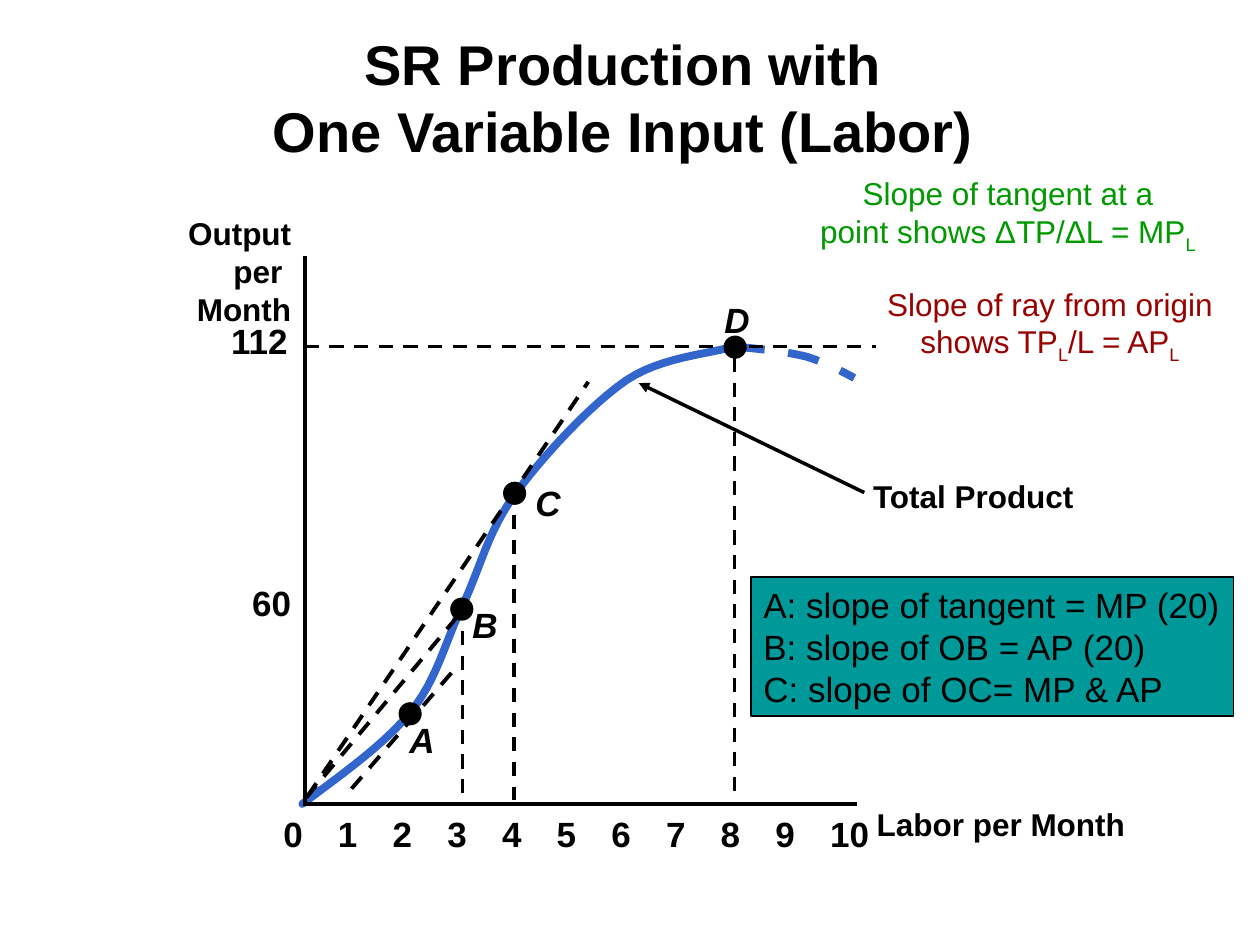
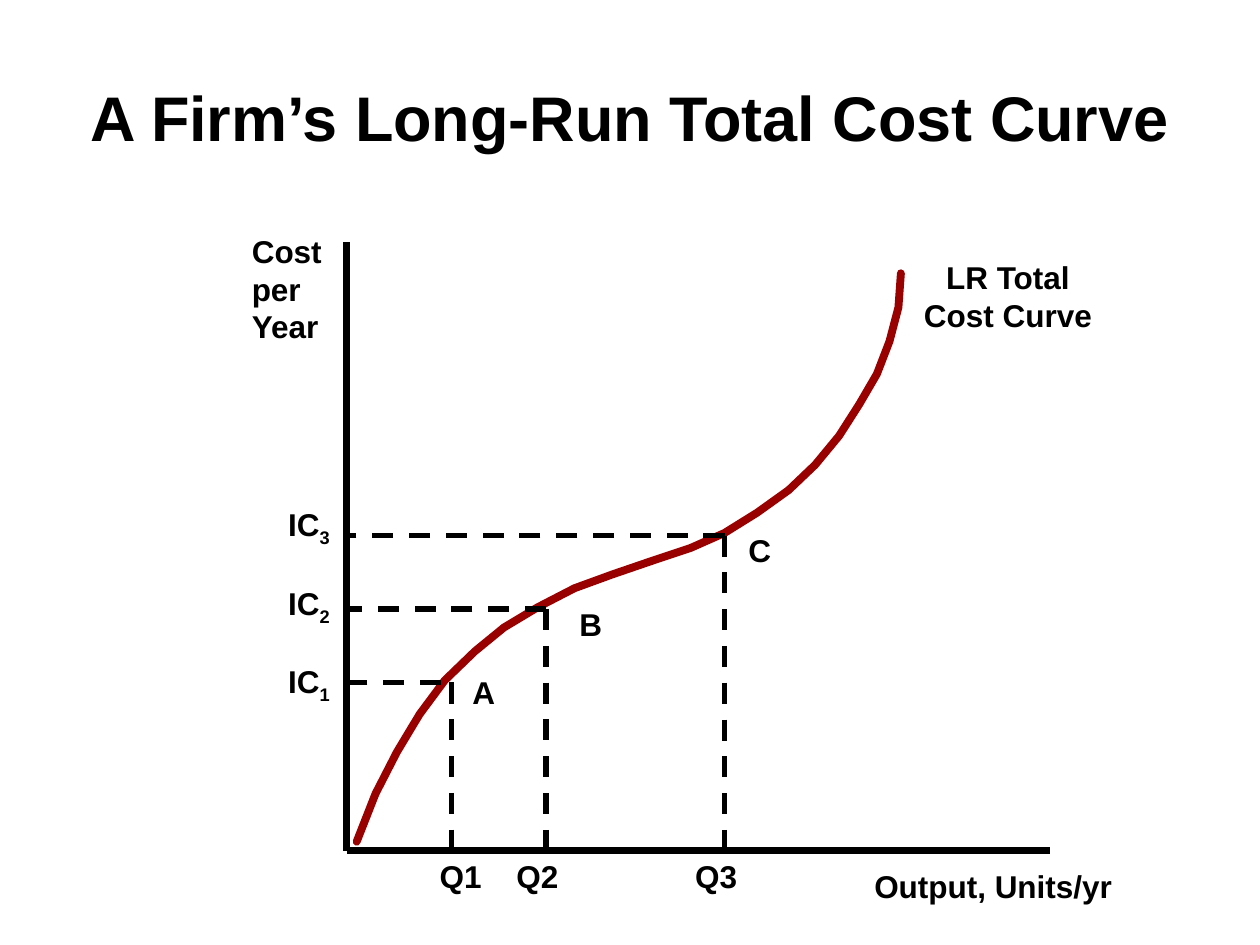
from dataclasses import dataclass

from lxml import etree
from pptx import Presentation
from pptx.dml.color import RGBColor
from pptx.enum import dml, shapes, text
from pptx.oxml.ns import qn
from pptx.util import Pt


@dataclass(frozen=True)
class Theme:
    font: str = "Arial"
    ink: str = "000000"
    blue: str = "3366CC"
    red: str = "990000"
    green: str = "009900"
    teal: str = "009999"
    label: int = 18
    mark: int = 20
    curve: float = 4.5


T = Theme()
LEFT, CENTER, RIGHT = text.PP_ALIGN.LEFT, text.PP_ALIGN.CENTER, text.PP_ALIGN.RIGHT


def write(sp, content, size=T.label, align=LEFT, color=T.ink, bold=True, italic=False):
    tf = sp.text_frame
    tf.text = content
    for p in tf.paragraphs:
        p.alignment = align
        if "_" in p.text:
            pieces = p.text.split("_")
            p.text = pieces[0]
            for i, piece in enumerate(pieces[1:], 1):
                if piece:
                    r = p.add_run()
                    r.text = piece
                    if i % 2:
                        r.font._element.set("baseline", "-25000")
        for r in p.runs:
            r.font.name, r.font.size = T.font, Pt(size)
            r.font.bold, r.font.italic = bold, italic
            r.font.color.rgb = RGBColor.from_string(color)


def line(s, x1, y1, x2, y2, width, dashed=True):
    c = s.shapes.add_connector(shapes.MSO_CONNECTOR.STRAIGHT, Pt(x1), Pt(y1), Pt(x2), Pt(y2))
    c.line.color.rgb = RGBColor.from_string(T.ink)
    c.line.width = Pt(width)
    if dashed:
        c.line.dash_style = dml.MSO_LINE.DASH
    etree.SubElement(c._element.spPr, qn("a:effectLst"))
    return c


prs = Presentation()
prs.slide_width, prs.slide_height = Pt(720), Pt(540)

titles = [
    ("SR Production with\vOne Variable Input (Labor)", 32, (41.8, 18, 628.6, 79.2), text.MSO_ANCHOR.BOTTOM),
    ("A Firm’s Long-Run Total Cost Curve", 36, (36, 21.6, 648, 90), text.MSO_ANCHOR.MIDDLE),
]
for title, size, box, anchor in titles:
    s = prs.slides.add_slide(prs.slide_layouts[5])
    sp = s.shapes.title
    sp.left, sp.top, sp.width, sp.height = map(Pt, box)
    write(sp, title, size, CENTER)
    sp.text_frame.vertical_anchor = anchor
    sp.text_frame.auto_size = text.MSO_AUTO_SIZE.NONE
production, cost = prs.slides

product_knots = [
    (172.8, 459.4), (195.8, 442.1), (219.6, 425.5), (234.7, 406.8),
    (249.8, 388.1), (254.2, 367.2), (264.2, 346.3),
    (274.3, 325.4), (278.6, 303.8), (294.5, 282.2),
    (310.3, 260.6), (337, 231.8), (357.8, 217.4),
    (378, 203.8), (406.1, 202.3), (419, 198),
]
decline_knots = [
    (419, 198), (434.2, 199.4), (449.3, 200.9), (460.8, 203.8),
    (472.3, 207.4), (480.2, 211.7), (488.2, 216),
]
cost_points = [
    (203.8, 481), (214.6, 453.6), (226.8, 429.8), (239.8, 408.2), (254.2, 388.8),
    (271.4, 372.2), (288, 358.6), (307.4, 347), (328.3, 336.2), (349.9, 328.3),
    (373, 320.4), (394.6, 313.2), (414, 304.6), (432.7, 293), (450.7, 280.1),
    (465.8, 265.7), (479.5, 249.1), (491, 231.1), (501.1, 213.8), (508.3, 195.1),
    (513.4, 175.7), (514.8, 156.2),
]
smooth = []
for knots in (product_knots, decline_knots):
    points = [knots[0]]
    for i in range(0, len(knots) - 1, 3):
        for t in (n / 12 for n in range(1, 13)):
            weights = ((1 - t) ** 3, 3 * t * (1 - t) ** 2, 3 * t * t * (1 - t), t ** 3)
            points.append(tuple(sum(w * k[axis] for w, k in zip(weights, knots[i:i + 4])) for axis in (0, 1)))
    smooth.append(points)

curves = [
    (production, smooth[0], T.blue, False),
    (production, smooth[1], T.blue, True),
    (cost, cost_points, T.red, False),
]
for s, points, color, dashed in curves:
    emu = [(Pt(x), Pt(y)) for x, y in points]
    builder = s.shapes.build_freeform(*emu[0])
    builder.add_line_segments(emu[1:], close=False)
    sp = builder.convert_to_shape()
    sp.shadow.inherit = False
    sp.fill.background()
    sp.line.color.rgb = RGBColor.from_string(color)
    sp.line.width = Pt(T.curve)
    if dashed:
        sp.line.dash_style = dml.MSO_LINE.DASH
    else:
        sp._element.spPr.find(qn("a:ln")).set("cap", "rnd")

arrow = line(production, 493.9, 281.5, 365, 218.9, 2, dashed=False)
etree.SubElement(arrow._element.spPr.find(qn("a:ln")), qn("a:tailEnd"), type="triangle")
line(production, 174.2, 146.2, 174.2, 460.8, 2, dashed=False)
line(production, 174.2, 459.4, 489.6, 459.4, 2, dashed=False)
line(production, 174.2, 198, 500.4, 198, 2)
for x, y in [(264.2, 360.7), (293.8, 294.5), (419.8, 204.5)]:
    line(production, x, y, x, 457.2, 2)
for ray in [(175.7, 455, 336.2, 218.2), (175, 455.8, 262.8, 350.6), (200.9, 450.7, 259.9, 382.3)]:
    line(production, *ray, 2.25)

dot = 12.24
for x, y in [(234.4, 407.9), (263.9, 348.1), (294.1, 281.9), (420.1, 198.4)]:
    sp = production.shapes.add_shape(
        shapes.MSO_SHAPE.OVAL, Pt(x - dot / 2), Pt(y - dot / 2), Pt(dot), Pt(dot))
    sp.shadow.inherit = False
    sp.fill.solid()
    sp.fill.fore_color.rgb = sp.line.color.rgb = RGBColor.from_string(T.ink)
    sp.line.width = Pt(1)

sp = production.shapes.add_shape(
    shapes.MSO_SHAPE.RECTANGLE, Pt(429.1), Pt(329.8), Pt(275.8), Pt(79.2))
sp.shadow.inherit = False
sp.fill.solid()
sp.fill.fore_color.rgb = RGBColor.from_string(T.teal)
sp.line.color.rgb = RGBColor.from_string(T.ink)
sp.line.width = Pt(1)
write(sp, "A: slope of tangent = MP (20)\nB: slope of OB = AP (20)\nC: slope of OC= MP & AP", T.mark, bold=False)
sp.text_frame.word_wrap = False

line(cost, 198, 486, 198, 138.2, 4.5, dashed=False)
line(cost, 198, 486, 599.8, 486, 4.5, dashed=False)
for x, y, end in [(258, 390, 252), (312, 348, 312), (414, 306, 414)]:
    line(cost, x, y, x, 486, 3)
    line(cost, end, y, 198, y, 3)

mark = {"size": T.mark}
point = {"size": T.mark, "italic": True}
labels = [
    (production, "Total Product", 491.8, 269.3, 150, {}),
    (production, "Labor per Month", 493.9, 456.5, 180, {}),
    (production, "Output\nper \nMonth", 83.5, 118.8, 90, {"align": RIGHT}),
    (production, "60", 123.5, 329, 50, {**mark, "align": RIGHT}),
    (production, "112", 121.5, 179.3, 50, {**mark, "align": RIGHT}),
    (production, "A", 226.8, 406.8, 40, point),
    (production, "B", 262.8, 341.3, 40, point),
    (production, "C", 298.8, 271.4, 40, point),
    (production, "D", 406.8, 167, 40, point),
    (production, "Slope of tangent at a\npoint shows ΔTP/ΔL = MP_L", 455, 95.8, 242,
     {"align": CENTER, "color": T.green, "bold": False}),
    (production, "Slope of ray from origin\nshows TP_L_/L = AP_L", 488, 159.1, 224,
     {"align": CENTER, "color": T.red, "bold": False}),
    (cost, "Output, Units/yr", 492.5, 491.8, 170, {}),
    (cost, "Cost\nper\nYear", 136.8, 128.9, 60, {}),
    (cost, "LR Total\nCost Curve", 516, 144, 120, {"align": CENTER}),
    (cost, "A", 262.8, 380.9, 40, {}),
    (cost, "B", 324, 342, 40, {}),
    (cost, "C", 420.5, 300.2, 40, {}),
]
labels += [(production, str(n), 154.8 + 31.25 * n, 460.8, 44, mark) for n in range(11)]
for n, x in enumerate((244.2, 288, 390.2), 1):
    labels.append((cost, f"Q{n}", x, 486, 50, {}))
    labels.append((cost, f"IC_{n}", 135.5, 420 - 45 * n, 60, {"align": RIGHT}))

for s, content, x, y, width, style in labels:
    height = 1.2 * style.get("size", T.label) * (content.count("\n") + 1) + 7.2
    sp = s.shapes.add_textbox(Pt(x), Pt(y), Pt(width), Pt(height))
    sp.text_frame.word_wrap = True
    write(sp, content, **style)

prs.save("out.pptx")
